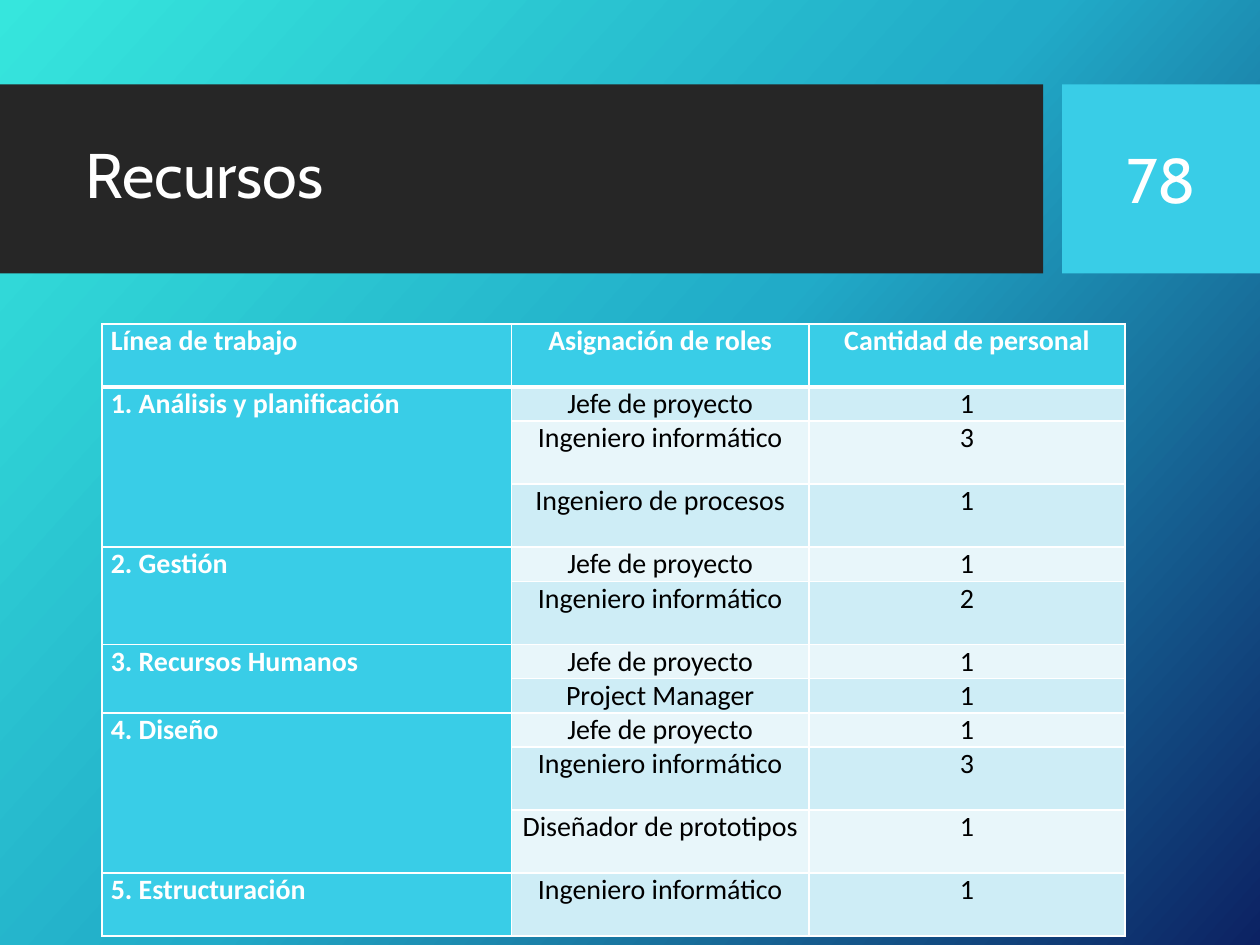
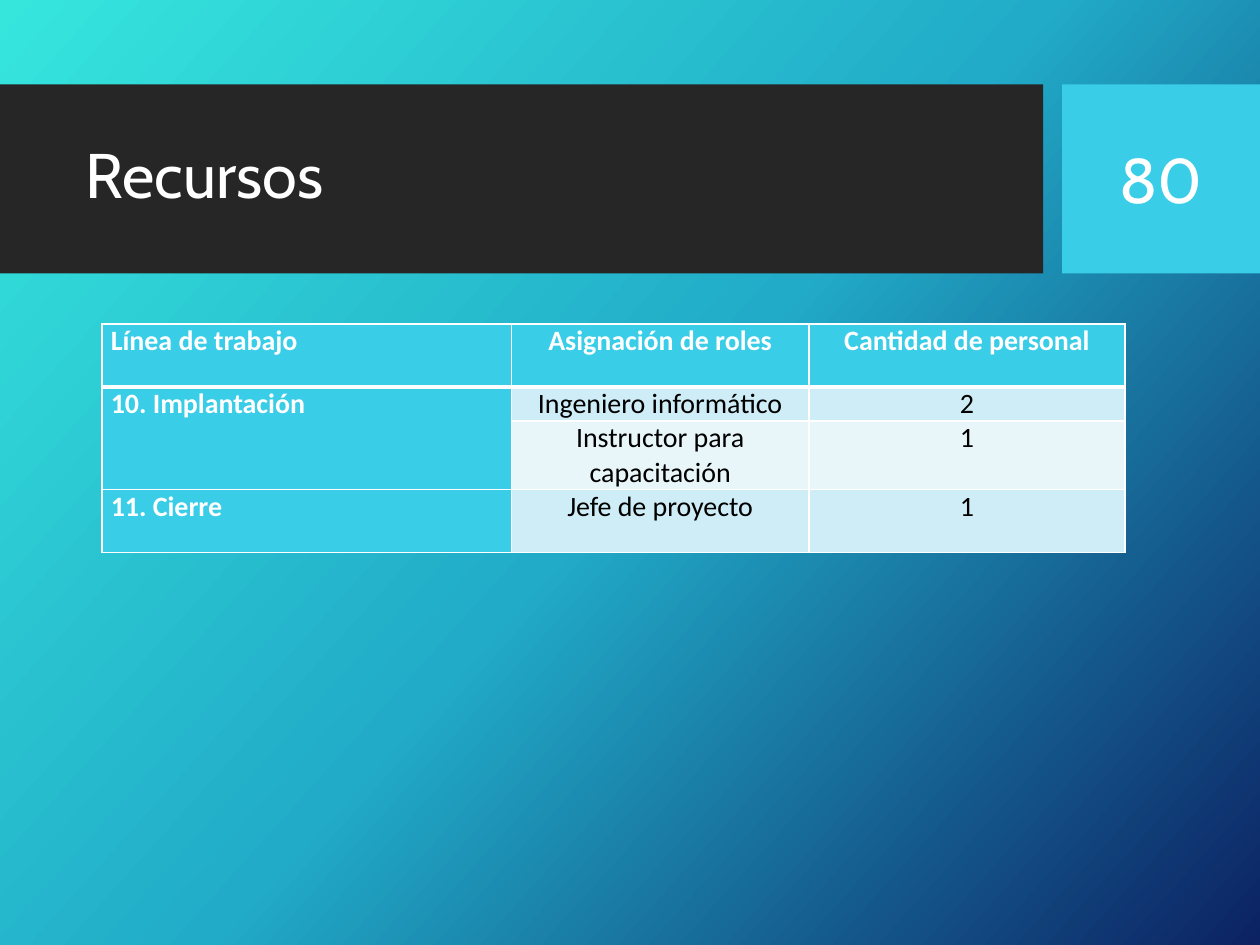
from lxml import etree
from pptx import Presentation
from pptx.dml.color import RGBColor
from pptx.enum import shapes, text
from pptx.oxml import ns
from pptx.util import Inches, Pt

TITLE = "Recursos"
HEADER = ("Línea de trabajo", "Asignación de roles", "Cantidad de personal")
LOW, TALL = 0.25, 0.5
SLIDES = [
    ("78", [
        ("1. Análisis y planificación", [
            ("Jefe de proyecto", 1, LOW),
            ("Ingeniero informático", 3, TALL),
            ("Ingeniero de procesos", 1, TALL),
        ]),
        ("2. Gestión", [
            ("Jefe de proyecto", 1, LOW),
            ("Ingeniero informático", 2, TALL),
        ]),
        ("3. Recursos Humanos", [
            ("Jefe de proyecto", 1, LOW),
            ("Project Manager", 1, LOW),
        ]),
        ("4. Diseño", [
            ("Jefe de proyecto", 1, LOW),
            ("Ingeniero informático", 3, TALL),
            ("Diseñador de prototipos", 1, TALL),
        ]),
        ("5. Estructuración", [("Ingeniero informático", 1, TALL)]),
    ]),
    ("80", [
        ("10. Implantación", [
            ("Ingeniero informático", 2, LOW),
            ("Instructor para capacitación", 1, TALL),
        ]),
        ("11. Cierre", [("Jefe de proyecto", 1, TALL)]),
    ]),
]

WHITE, BLACK, DARK, ACCENT = "FFFFFF", "000000", "262626", "39CDE7"
STRIPES = ("E8F6FA", "CEEDF6")
GRADIENT = [(0, "36E6DD"), (50, "21ABC8"), (100, "0C2263")]
GRADIENT_ANGLE = 42
HEAD_FONT, BODY_FONT = "Cabin", "Calibri"
BANDS = [((0, 0.67, 8.28, 1.5), DARK), ((8.43, 0.67, 1.57, 1.5), ACCENT)]
TITLE_BOX = (0.58, 0.82, 7.54, 1.18)
NUMBER_BOX = (8.58, 0.82, 1.27, 1.19)
TABLE_LEFT, TABLE_TOP = 0.81, 2.57
COLUMNS = (3.25, 2.36, 2.51)
LEFT, CENTER = text.PP_ALIGN.LEFT, text.PP_ALIGN.CENTER


def rgb(color):
    return RGBColor.from_string(color)


def inches(box):
    return [Inches(v) for v in box]


def format_paragraph(p, font, size, color, align, bold=False):
    p.alignment = align
    p.font.name = font
    p.font.size = Pt(size)
    p.font.bold = bold
    p.font.color.rgb = rgb(color)


def set_background(master):
    fill = master.background.fill
    fill.gradient()
    fill.gradient_angle = 360 - GRADIENT_ANGLE
    stops = master.element.find(".//" + ns.qn("p:bgPr")).find(".//" + ns.qn("a:gsLst"))
    for stop in list(stops):
        stops.remove(stop)
    for position, color in GRADIENT:
        stop = etree.SubElement(stops, ns.qn("a:gs"), pos=str(position * 1000))
        etree.SubElement(stop, ns.qn("a:srgbClr"), val=color)


def write_heading(sp, words, align):
    tf = sp.text_frame
    tf.text = words
    tf.word_wrap = True
    tf.auto_size = text.MSO_AUTO_SIZE.NONE
    tf.vertical_anchor = text.MSO_ANCHOR.MIDDLE
    p = tf.paragraphs[0]
    format_paragraph(p, HEAD_FONT, 36, WHITE, align)
    return p


def add_frame(slide, number):
    for box, color in BANDS:
        sp = slide.shapes.add_shape(shapes.MSO_SHAPE.RECTANGLE, *inches(box))
        sp.shadow.inherit = False
        sp.fill.solid()
        sp.fill.fore_color.rgb = rgb(color)
        sp.line.fill.background()
    title = slide.shapes.title
    title.left, title.top, title.width, title.height = inches(TITLE_BOX)
    title.element.getparent().append(title.element)
    write_heading(title, TITLE, LEFT).line_spacing = 0.9
    write_heading(slide.shapes.add_textbox(*inches(NUMBER_BOX)), number, CENTER)


def add_borders(cell, top, bottom):
    tc_pr = cell._tc.get_or_add_tcPr()
    for side, width in (("L", 1), ("R", 1), ("T", top), ("B", bottom)):
        line = etree.SubElement(tc_pr, ns.qn("a:ln" + side), w=str(Pt(width)))
        fill = etree.SubElement(line, ns.qn("a:solidFill"))
        etree.SubElement(fill, ns.qn("a:srgbClr"), val=WHITE)


def format_cell(cell, row, col):
    add_borders(cell, 3 if row == 1 else 1, 3 if row == 0 else 1)
    heading = row == 0 or col == 0
    cell.fill.solid()
    cell.fill.fore_color.rgb = rgb(ACCENT if heading else STRIPES[row % 2])
    cell.margin_left = cell.margin_right = Inches(0.07)
    cell.margin_top = cell.margin_bottom = 0
    format_paragraph(cell.text_frame.paragraphs[0], BODY_FONT, 16,
                     WHITE if heading else BLACK, CENTER if col else LEFT, heading)


def add_staff_table(slide, groups):
    rows = [(*HEADER, TALL)]
    spans = []
    for work, roles in groups:
        spans.append((len(rows), len(rows) + len(roles) - 1))
        for i, (role, count, height) in enumerate(roles):
            rows.append(("" if i else work, role, str(count), height))
    size = sum(COLUMNS), sum(row[-1] for row in rows)
    table = slide.shapes.add_table(
        len(rows), len(COLUMNS), *inches((TABLE_LEFT, TABLE_TOP, *size))).table
    for column, width in zip(table.columns, COLUMNS):
        column.width = Inches(width)
    for r, (*words, height) in enumerate(rows):
        table.rows[r].height = Inches(height)
        for c, word in enumerate(words):
            cell = table.cell(r, c)
            cell.text = word
            format_cell(cell, r, c)
    for first, last in spans:
        if last > first:
            table.cell(first, 0).merge(table.cell(last, 0))


def main():
    prs = Presentation()
    prs.slide_width, prs.slide_height = Inches(10), Inches(7.5)
    set_background(prs.slide_master)
    for number, groups in SLIDES:
        slide = prs.slides.add_slide(prs.slide_layouts[5])
        add_frame(slide, number)
        add_staff_table(slide, groups)
    prs.save("out.pptx")


if __name__ == "__main__":
    main()
